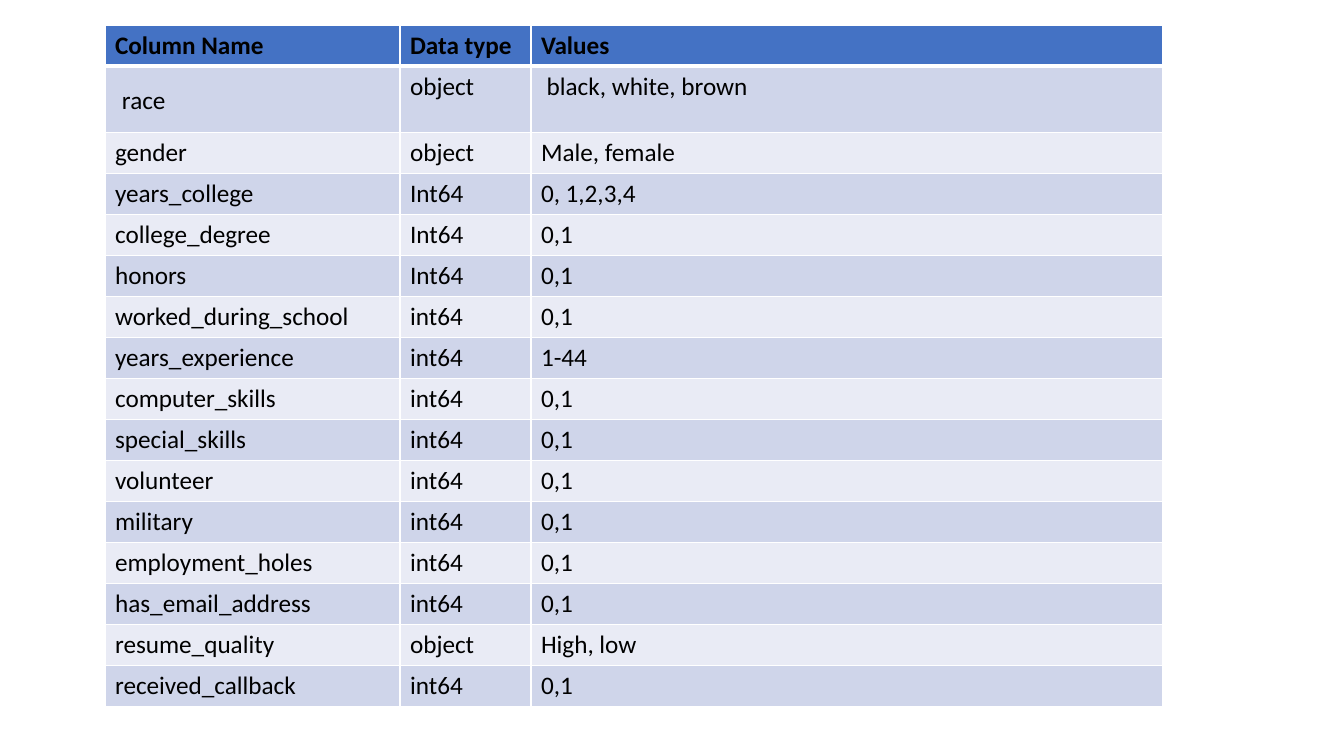
from lxml.etree import SubElement
from pptx import Presentation
from pptx.dml.color import RGBColor
from pptx.enum.text import MSO_ANCHOR
from pptx.oxml.ns import qn
from pptx.util import Pt

PX = 914400 / 100.8
HEADER_FILL = "4472C4"
BAND_FILLS = ("CFD5EA", "E9EBF5")
COLUMN_WIDTHS = (295, 131, 632)
ROW_HEIGHT = 41
RACE_ROW_HEIGHT = 65
RACE_MARGIN = 17
ROWS = [
    ("Column Name", "Data type", "Values"),
    ("race", "object", " black, white, brown"),
    ("gender", "object", "Male, female"),
    ("years_college", "Int64", "0, 1,2,3,4"),
    ("college_degree", "Int64", "0,1"),
    ("honors", "Int64", "0,1"),
    ("worked_during_school", "int64", "0,1"),
    ("years_experience", "int64", "1-44"),
    ("computer_skills", "int64", "0,1"),
    ("special_skills", "int64", "0,1"),
    ("volunteer", "int64", "0,1"),
    ("military", "int64", "0,1"),
    ("employment_holes", "int64", "0,1"),
    ("has_email_address", "int64", "0,1"),
    ("resume_quality", "object", "High, low"),
    ("received_callback", "int64", "0,1"),
]


def px(length):
    return round(length * PX)


def color(value):
    return RGBColor.from_string(value)


def set_borders(cell, widths):
    """Draw white borders; widths maps side letters, in L R T B order, to points."""
    properties = cell._tc.get_or_add_tcPr()
    for side, width in widths.items():
        line = SubElement(properties, qn(f"a:ln{side}"), w=str(Pt(width)))
        fill = SubElement(line, qn("a:solidFill"))
        SubElement(fill, qn("a:srgbClr"), val="FFFFFF")


def format_cell(cell, text, fill, is_header):
    # Body cells share their top edge with the row above.
    set_borders(cell, {"L": 1, "R": 1, "T": 1, "B": 3} if is_header
                else {"L": 1, "R": 1, "B": 1})
    cell.fill.solid()
    cell.fill.fore_color.rgb = color(fill)
    cell.text = text
    font = cell.text_frame.paragraphs[0].font
    font.name = "Calibri"
    font.size = Pt(18)
    font.bold = is_header
    font.color.rgb = color("000000")


def format_race_cell(cell):
    cell.vertical_anchor = MSO_ANCHOR.MIDDLE
    cell.margin_left = cell.margin_right = px(RACE_MARGIN)
    cell.margin_top = cell.margin_bottom = px(RACE_MARGIN)
    cell.text_frame.paragraphs[0].line_spacing = 1.07


def add_column_table(slide, left, top):
    heights = [ROW_HEIGHT] * len(ROWS)
    heights[1] = RACE_ROW_HEIGHT
    table = slide.shapes.add_table(
        len(ROWS), len(COLUMN_WIDTHS), px(left), px(top),
        px(sum(COLUMN_WIDTHS)), px(sum(heights))).table
    for column, width in zip(table.columns, COLUMN_WIDTHS):
        column.width = px(width)
    for index, (row, height, texts) in enumerate(zip(table.rows, heights, ROWS)):
        row.height = px(height)
        is_header = index == 0
        fill = HEADER_FILL if is_header else BAND_FILLS[(index - 1) % 2]
        for cell, text in zip(row.cells, texts):
            format_cell(cell, text, fill, is_header)
    format_race_cell(table.cell(1, 0))


def main():
    presentation = Presentation()
    presentation.slide_width = px(1344)
    presentation.slide_height = px(756)
    slide = presentation.slides.add_slide(presentation.slide_layouts[6])
    add_column_table(slide, 105, 25)
    presentation.save("out.pptx")


if __name__ == "__main__":
    main()
